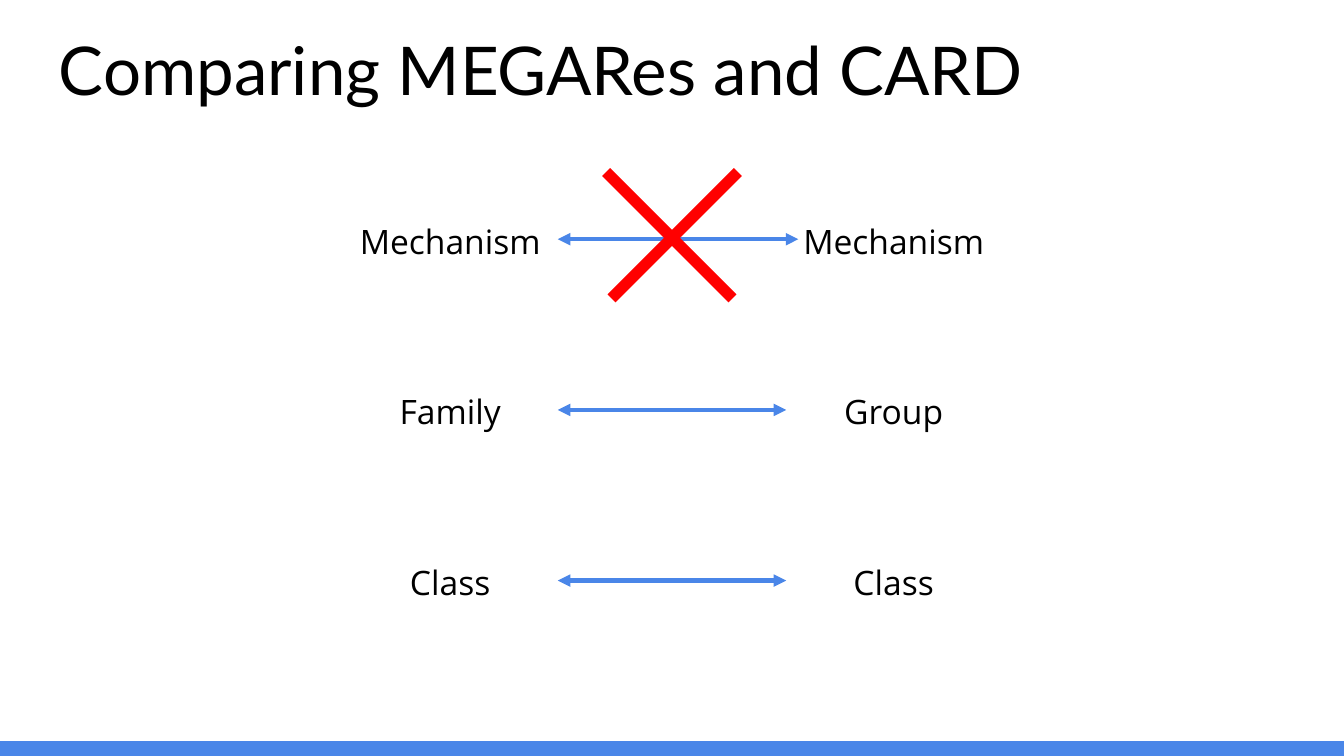
from dataclasses import dataclass

from lxml.etree import SubElement
from pptx import Presentation
from pptx.dml.color import RGBColor
from pptx.enum.shapes import MSO_CONNECTOR, MSO_SHAPE
from pptx.enum.text import MSO_ANCHOR, PP_ALIGN
from pptx.oxml.ns import qn
from pptx.util import Inches, Pt


@dataclass(frozen=True)
class Theme:
    ink: str = "000000"
    accent: str = "4A86E8"
    cross: str = "FF0000"
    paper: str = "FFFFFF"
    title_font: str = "Lato"
    body_font: str = "Open Sans"
    title_size: float = 36
    body_size: float = 18
    arrow_width: float = 2.25
    cross_width: float = 6


THEME = Theme()
WIDTH, HEIGHT = 10, 10 * 9 / 16
INSET = 0.1

LEVELS = [("Mechanism", "Mechanism"), ("Family", "Group"), ("Class", "Class")]
ROW_PITCH = 1.27
LABEL_W, LABEL_H = 1.6, 0.48
CROSS_SIZE = 0.94
CROSS_OFFSET = 0.02


def add_text(slide, box, text, font, size, align, anchor):
    tb = slide.shapes.add_textbox(*map(Inches, box))
    tf = tb.text_frame
    tf.word_wrap = True
    tf.vertical_anchor = anchor
    tf.margin_left = tf.margin_right = Inches(INSET)
    tf.margin_top = tf.margin_bottom = Inches(INSET)
    p = tf.paragraphs[0]
    p.alignment = align
    r = p.add_run()
    r.text = text
    r.font.name = font
    r.font.size = Pt(size)
    r.font.color.rgb = RGBColor.from_string(THEME.ink)


def add_line(slide, start, end, color, width, arrows=False):
    cn = slide.shapes.add_connector(
        MSO_CONNECTOR.STRAIGHT, *map(Inches, (*start, *end)))
    cn.line.color.rgb = RGBColor.from_string(color)
    cn.line.width = Pt(width)
    if arrows:
        ln = cn.line._get_or_add_ln()
        for tag in ("a:headEnd", "a:tailEnd"):
            SubElement(ln, qn(tag), type="triangle")
    SubElement(cn._element.spPr, qn("a:effectLst"))


def add_footer_bar(slide, box):
    sp = slide.shapes.add_shape(MSO_SHAPE.RECTANGLE, *map(Inches, box))
    sp.shadow.inherit = False
    sp.fill.solid()
    sp.fill.fore_color.rgb = RGBColor.from_string(THEME.accent)
    sp.line.fill.background()


def add_title(slide, box, text):
    add_text(slide, box, text, THEME.title_font, THEME.title_size,
             PP_ALIGN.LEFT, MSO_ANCHOR.BOTTOM)


def add_level(slide, box, names, overshoot=0):
    """Put a name at each end of the box and a two-way arrow between them."""
    left, top, width, height = box
    right = left + width - LABEL_W
    for x, name in zip((left, right), names):
        add_text(slide, (x, top, LABEL_W, height), name, THEME.body_font,
                 THEME.body_size, PP_ALIGN.CENTER, MSO_ANCHOR.TOP)
    middle = top + height / 2
    add_line(slide, (left + LABEL_W, middle), (right + overshoot, middle),
             THEME.accent, THEME.arrow_width, arrows=True)


def add_cross(slide, box):
    """Cross out the box with two strokes set slightly apart at the centre."""
    left, top, width, height = box
    for sign in (1, -1):
        centre = left + width / 2 + sign * CROSS_OFFSET
        reach = sign * CROSS_SIZE / 2
        add_line(slide, (centre - reach, top + height),
                 (centre + reach, top), THEME.cross, THEME.cross_width)


def add_comparison(slide, box):
    left, top, width, _ = box
    for i, names in enumerate(LEVELS):
        row = (left, top + i * ROW_PITCH, width, LABEL_H)
        add_level(slide, row, names, overshoot=0.09 if i == 0 else 0)
    middle = top + LABEL_H / 2
    add_cross(slide, (left + (width - CROSS_SIZE) / 2, middle - 0.5,
                      CROSS_SIZE, CROSS_SIZE))


def main():
    prs = Presentation()
    prs.slide_width, prs.slide_height = Inches(WIDTH), Inches(HEIGHT)
    s = prs.slides.add_slide(prs.slide_layouts[6])
    s.background.fill.solid()
    s.background.fill.fore_color.rgb = RGBColor.from_string(THEME.paper)
    add_footer_bar(s, (0, HEIGHT - 0.11, WIDTH, 0.11))
    add_title(s, (0.34, 0, 9.32, 0.91), "Comparing MEGARes and CARD")
    add_comparison(s, (2.55, 1.54, 4.9, 2 * ROW_PITCH + LABEL_H))
    prs.save("out.pptx")


if __name__ == "__main__":
    main()
